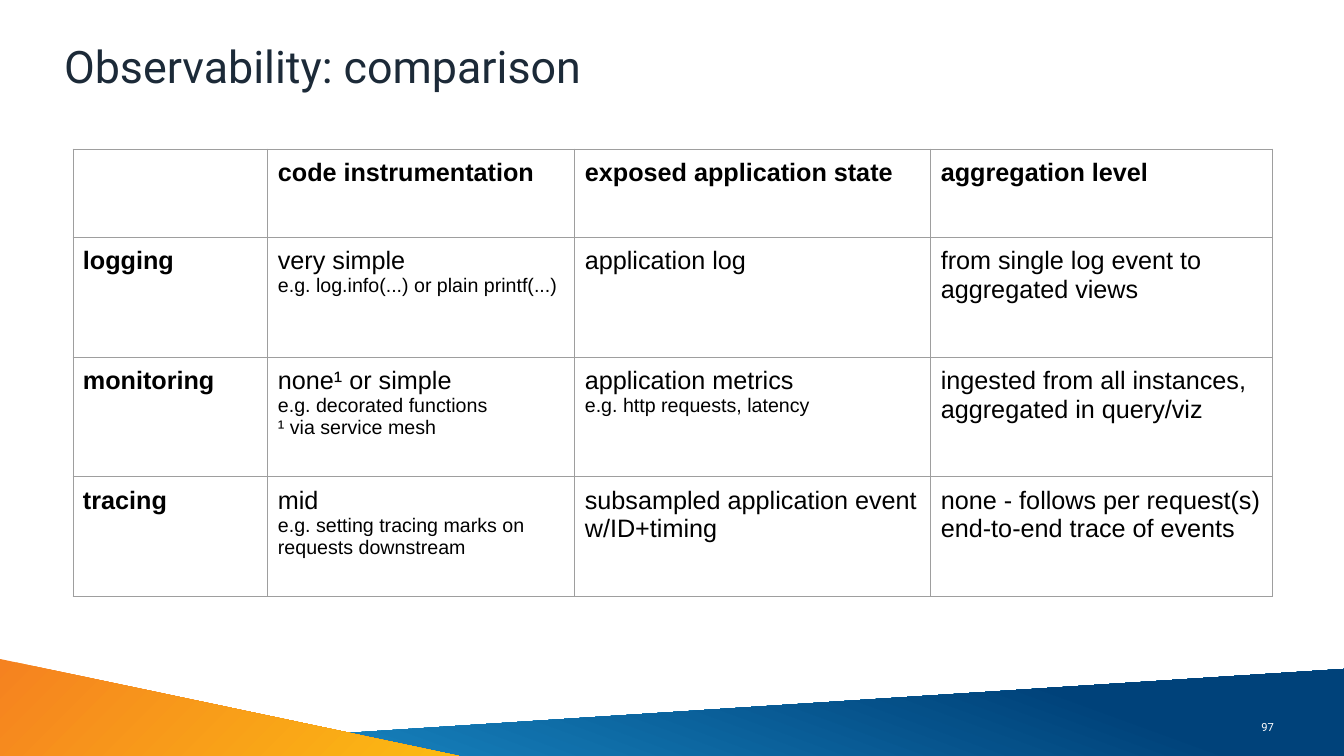
from lxml import etree
from pptx import Presentation
from pptx import util as u
from pptx.dml.color import RGBColor
from pptx.enum import text
from pptx.oxml.ns import qn

PX = 914400 / 100.8
HEX = {
    "title": "1C2A38", "text": "000000", "white": "FFFFFF", "grid": "9E9E9E",
    "sky": "1F9BD8", "navy": "00427A", "amber": "FCBA12", "orange": "F58220",
}
COLS = [195, 307, 356, 342]
ROWS = [88, 120, 120, 120]
CELLS = [
    ["", "code instrumentation", "exposed application state", "aggregation level"],
    ["logging",
     ("very simple", "e.g. log.info(...) or plain printf(...)"),
     "application log",
     "from single log event to aggregated views"],
    ["monitoring",
     ("none¹ or simple", "e.g. decorated functions", "¹ via service mesh"),
     ("application metrics", "e.g. http requests, latency"),
     "ingested from all instances,\naggregated in query/viz"],
    ["tracing",
     ("mid", "e.g. setting tracing marks on requests downstream"),
     "subsampled application event w/ID+timing",
     "none - follows per request(s) end-to-end trace of events"],
]


def px(n):
    return u.Emu(round(n * PX))


def rgb(name):
    return RGBColor.from_string(HEX[name])


def style(par, face, size, color, bold=False):
    font = par.font
    font.name, font.size, font.bold = face, u.Pt(size), bold
    font.color.rgb = rgb(color)


def place(shape, left, top, width, height):
    shape.left, shape.top = px(left), px(top)
    shape.width, shape.height = px(width), px(height)


def wedge(slide, points, stops, angle):
    build = slide.shapes.build_freeform(*points[0], scale=PX)
    build.add_line_segments(points[1:], close=True)
    shape = build.convert_to_shape()
    shape.shadow.inherit = False
    shape.line.fill.background()
    shape.fill.gradient()
    shape.fill.gradient_angle = angle
    for stop, (spot, name) in zip(shape.fill.gradient_stops, stops):
        stop.position = spot
        stop.color.rgb = rgb(name)


def heading(slide, words):
    title = slide.shapes.title
    place(title, 54, 35, 1230, 68)
    frame = title.text_frame
    frame.text = words
    frame.auto_size = text.MSO_AUTO_SIZE.NONE
    frame.vertical_anchor = text.MSO_ANCHOR.MIDDLE
    frame.margin_left = frame.margin_right = px(10)
    frame.margin_top = frame.margin_bottom = px(10)
    par = frame.paragraphs[0]
    par.alignment = text.PP_ALIGN.LEFT
    par.line_spacing = 0.9
    style(par, "Roboto", 32, "title")


def number(slide, words):
    box = slide.shapes.add_textbox(px(1248), px(707), px(36), px(40))
    frame = box.text_frame
    frame.word_wrap = True
    frame.vertical_anchor = text.MSO_ANCHOR.MIDDLE
    par = frame.paragraphs[0]
    par.text = words
    par.alignment = text.PP_ALIGN.RIGHT
    style(par, "Roboto", 8, "white")


def border(cell):
    props = cell._tc.get_or_add_tcPr()
    for side in ("a:lnL", "a:lnR", "a:lnT", "a:lnB"):
        line = etree.SubElement(props, qn(side), w=str(u.Pt(0.75)))
        fill = etree.SubElement(line, qn("a:solidFill"))
        etree.SubElement(fill, qn("a:srgbClr"), val=HEX["grid"])


def write(cell, lines, bold):
    cell.margin_left = cell.margin_right = px(10)
    cell.margin_top = cell.margin_bottom = px(10)
    border(cell)
    cell.fill.background()
    frame = cell.text_frame
    for i, words in enumerate(lines):
        par = frame.add_paragraph() if i else frame.paragraphs[0]
        par.text = words
        style(par, "Arial", 14 if i else 18, "text", bold)


def grid(slide):
    frame = slide.shapes.add_table(len(ROWS), len(COLS), px(73), px(149),
                                   px(sum(COLS)), px(sum(ROWS)))
    table = frame.table
    table.first_row = table.horz_banding = False
    for col, width in zip(table.columns, COLS):
        col.width = px(width)
    for row, height in zip(table.rows, ROWS):
        row.height = px(height)
    for r, items in enumerate(CELLS):
        for c, item in enumerate(items):
            lines = (item,) if isinstance(item, str) else item
            write(table.cell(r, c), lines, r == 0 or c == 0)


def main():
    deck = Presentation()
    deck.slide_width, deck.slide_height = px(1344), px(756)
    slide = deck.slides.add_slide(deck.slide_layouts[5])
    wedge(slide, [(1344, 669), (-12, 756), (1344, 756)],
          [(0, "sky"), (0.79, "navy")], 70)
    wedge(slide, [(0, 659), (459, 756), (0, 756)],
          [(0, "orange"), (1, "amber")], 315)
    heading(slide, "Observability: comparison")
    number(slide, "97")
    grid(slide)
    deck.save("out.pptx")


if __name__ == "__main__":
    main()
